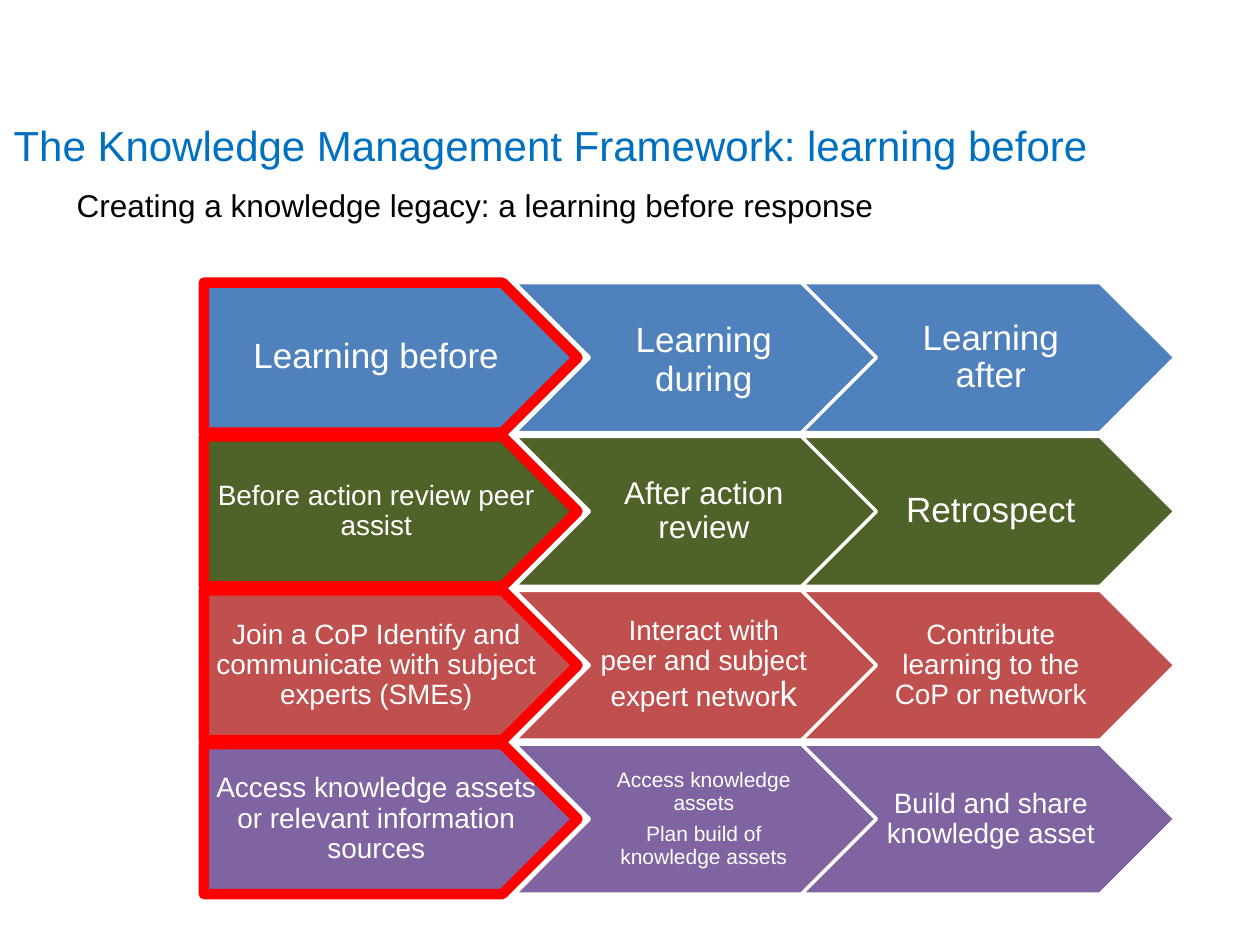
from pptx import Presentation
from pptx.dml.color import RGBColor
from pptx.enum import text
from pptx.util import Pt

TITLE_BLUE = RGBColor(0x00, 0x70, 0xC0)
BLACK = RGBColor(0, 0, 0)
WHITE = RGBColor(0xFF, 0xFF, 0xFF)
RED = RGBColor(0xFF, 0, 0)
BLUE = RGBColor(0x4F, 0x81, 0xBD)
GREEN = RGBColor(0x4F, 0x62, 0x28)
BRICK = RGBColor(0xC0, 0x50, 0x4D)
PURPLE = RGBColor(0x80, 0x64, 0xA2)

FONT = "Arial"
ARROW_W, ARROW_H = 213.5, 85.7
ROW_PITCH = 87.9
COLUMNS = (0, 177.5, 341.5)

# Each cell is a list of paragraphs; each paragraph a list of (text, size) runs.
ROWS = [
    (BLUE, [[[("Learning before", 20)]],
            [[("Learning", 20), (" ", 24), ("during", 20)]],
            [[("Learning after", 20)]]]),
    (GREEN, [[[("Before action review peer assist", 16)]],
             [[("After action review", 18)]],
             [[("Retrospect", 20)]]]),
    (BRICK, [[[("Join a CoP Identify and communicate with subject experts (SMEs)", 16)]],
             [[("Interact with peer and subject expert networ", 16), ("k", 20)]],
             [[("Contribute learning to the CoP or network", 16)]]]),
    (PURPLE, [[[("Access knowledge assets or relevant information sources", 16)]],
              [[("Access knowledge assets", 12)],
               [("Plan build of knowledge assets", 12)]],
              [[("Build and share knowledge asset", 16)]]]),
]


def set_margins(tf, left, top, right, bottom):
    tf.margin_left, tf.margin_top = Pt(left), Pt(top)
    tf.margin_right, tf.margin_bottom = Pt(right), Pt(bottom)


def add_heading(s, x, y, w, h, wording, size, color, align):
    tf = s.shapes.add_textbox(Pt(x), Pt(y), Pt(w), Pt(h)).text_frame
    tf.word_wrap = True
    p = tf.paragraphs[0]
    p.text = wording
    p.alignment = align
    p.font.name, p.font.size = FONT, Pt(size)
    p.font.color.rgb = color


def add_arrow(s, x, y, fill, paragraphs, first):
    """Draw a pentagon for the first, highlighted column, else a chevron."""
    tip = ARROW_H / 2
    points = [(0, 0), (ARROW_W - tip, 0), (ARROW_W, tip),
              (ARROW_W - tip, ARROW_H), (0, ARROW_H)]
    if not first:
        points.append((tip, tip))
    corners = [(Pt(x + dx), Pt(y + dy)) for dx, dy in points]
    builder = s.shapes.build_freeform(*corners[0], scale=1.0)
    builder.add_line_segments(corners[1:], close=True)
    sp = builder.convert_to_shape()
    sp.shadow.inherit = False
    sp.fill.solid()
    sp.fill.fore_color.rgb = fill
    sp.line.color.rgb = RED if first else WHITE
    sp.line.width = Pt(6 if first else 2)

    tf = sp.text_frame
    tf.word_wrap = True
    tf.vertical_anchor = text.MSO_ANCHOR.MIDDLE
    set_margins(tf, 6.5 if first else 47.5, 4, 23 if first else 44.6, 4)
    for i, runs in enumerate(paragraphs):
        p = tf.add_paragraph() if i else tf.paragraphs[0]
        p.alignment = text.PP_ALIGN.CENTER
        p.line_spacing = 0.9
        p.space_after = Pt(round(runs[0][1] * 0.42))
        p.font.name = FONT
        p.font.color.rgb = WHITE
        for wording, size in runs:
            r = p.add_run()
            r.text = wording
            r.font.size = Pt(size)
            r.font.name = FONT
            r.font.color.rgb = WHITE


def add_framework(s, x, y):
    for row, (fill, cells) in enumerate(ROWS):
        for col, paragraphs in enumerate(cells):
            add_arrow(s, x + COLUMNS[col], y + row * ROW_PITCH, fill,
                      paragraphs, first=col == 0)


def main():
    prs = Presentation()
    prs.slide_width, prs.slide_height = Pt(720), Pt(540)
    s = prs.slides.add_slide(prs.slide_layouts[6])
    add_heading(s, -9.4, 64.5, 648, 90,
                "The Knowledge Management Framework: learning before",
                24, TITLE_BLUE, text.PP_ALIGN.CENTER)
    add_heading(s, 36.7, 102.5, 482, 29,
                "Creating a knowledge legacy: a learning before response",
                18, BLACK, text.PP_ALIGN.LEFT)
    add_framework(s, 116.5, 161.5)
    prs.save("out.pptx")


if __name__ == "__main__":
    main()
